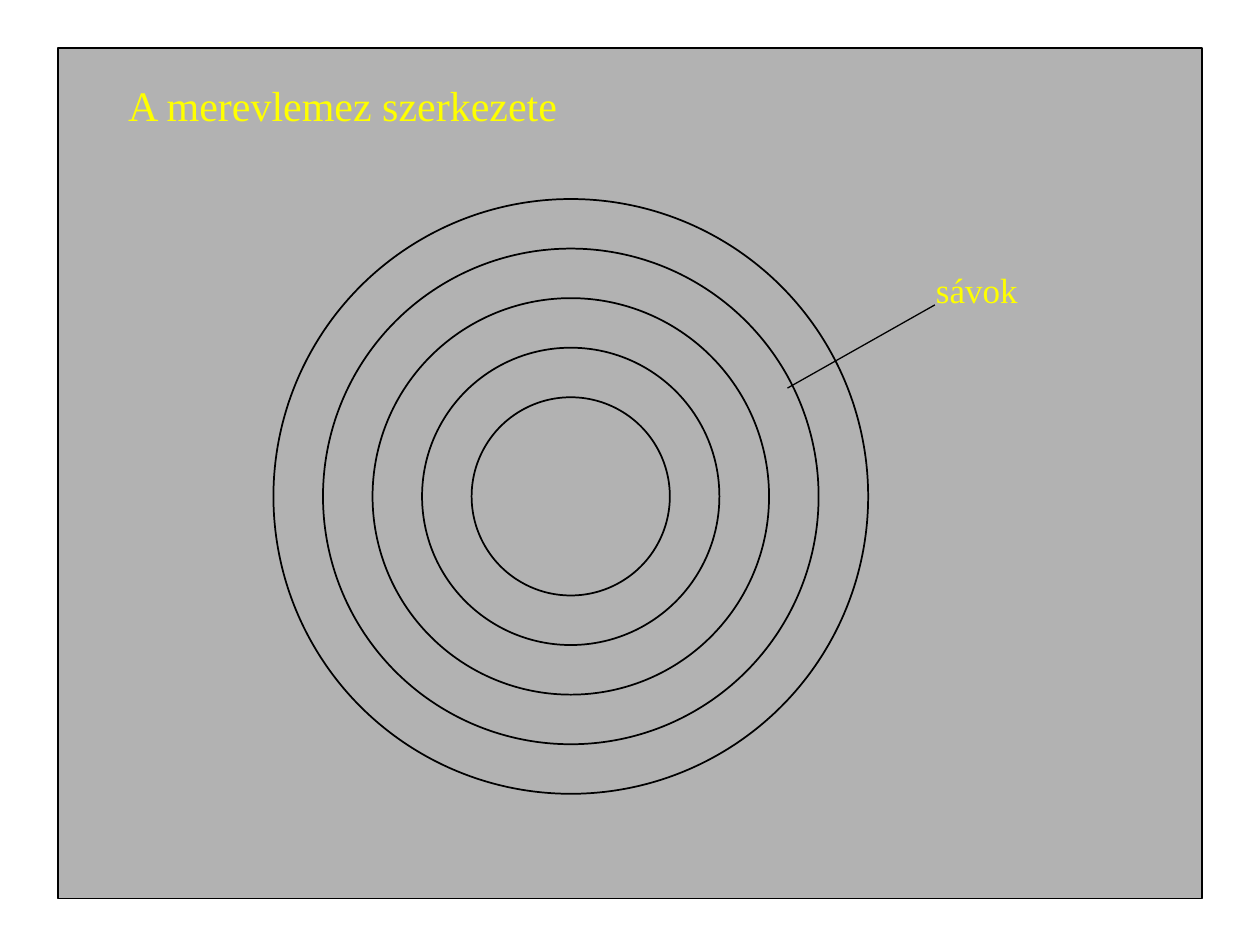
"""Build a slide on the concentric tracks of a hard disk."""
from lxml.etree import SubElement
from pptx import Presentation
from pptx.dml.color import RGBColor
from pptx.enum.shapes import MSO_CONNECTOR, MSO_SHAPE
from pptx.enum.text import MSO_AUTO_SIZE, PP_ALIGN
from pptx.oxml.ns import qn
from pptx.util import Inches, Pt

BLACK = RGBColor(0x00, 0x00, 0x00)
GREY = RGBColor(0xB2, 0xB2, 0xB2)
YELLOW = RGBColor(0xFF, 0xFF, 0x00)
FONT = "Times New Roman"
CENTER = (4.53, 3.94)
RADIUS = 2.36
STEPS = 6
INNER = 2


def add_shape(slide, kind, box, fill=None, width=1):
    shape = slide.shapes.add_shape(kind, *map(Inches, box))
    shape.shadow.inherit = False
    if fill is None:
        shape.fill.background()
    else:
        shape.fill.solid()
        shape.fill.fore_color.rgb = fill
    shape.line.color.rgb = BLACK
    shape.line.width = Pt(width)


def add_track(slide, radius):
    x, y = CENTER
    box = (x - radius, y - radius, 2 * radius, 2 * radius)
    add_shape(slide, MSO_SHAPE.OVAL, box)


def add_line(slide, start, end, width=0.75):
    line = slide.shapes.add_connector(
        MSO_CONNECTOR.STRAIGHT, *map(Inches, start + end))
    line.line.color.rgb = BLACK
    line.line.width = Pt(width)
    SubElement(line._element.spPr, qn("a:effectLst"))


def add_text(slide, text, box, size=20, align=PP_ALIGN.LEFT):
    frame = slide.shapes.add_textbox(*map(Inches, box)).text_frame
    frame.word_wrap = False
    frame.auto_size = MSO_AUTO_SIZE.SHAPE_TO_FIT_TEXT
    para = frame.paragraphs[0]
    para.alignment = align
    run = para.add_run()
    run.text = text
    run.font.name = FONT
    run.font.size = Pt(size)
    run.font.color.rgb = YELLOW


def main():
    deck = Presentation()
    deck.slide_width, deck.slide_height = Inches(10), Inches(7.5)
    slide = deck.slides.add_slide(deck.slide_layouts[6])
    add_shape(slide, MSO_SHAPE.RECTANGLE, (0.46, 0.38, 9.08, 6.75),
              fill=GREY, width=0.75)
    for step in range(STEPS, INNER - 1, -1):
        add_track(slide, RADIUS * step / STEPS)
    add_text(slide, "sávok", (7.33, 2.08, 0.85, 0.44))
    add_line(slide, (7.42, 2.42), (6.25, 3.08))
    add_text(slide, "A merevlemez szerkezete", (0.91, 0.58, 3.62, 0.5),
             size=24, align=PP_ALIGN.CENTER)
    deck.save("out.pptx")


if __name__ == "__main__":
    main()
